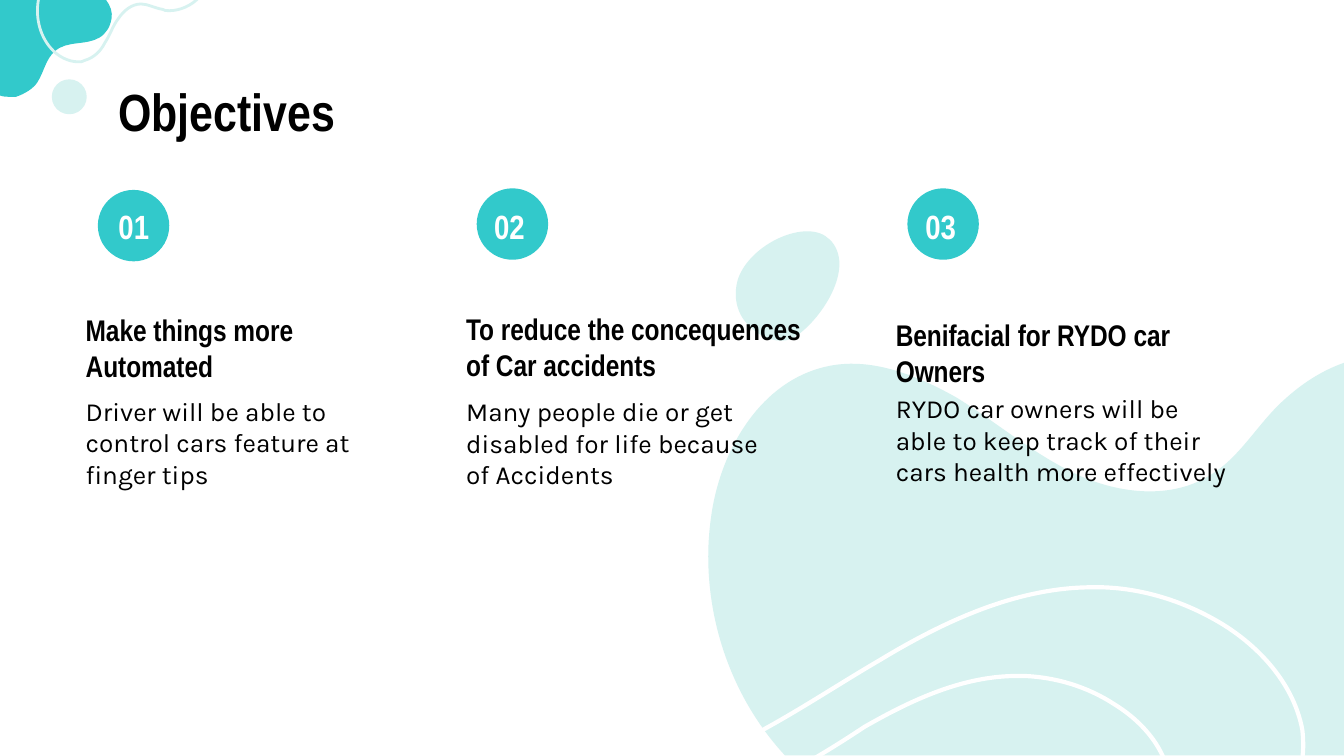
from pptx import Presentation
from pptx.dml.color import RGBColor
from pptx.enum.shapes import MSO_SHAPE
from pptx.enum.text import MSO_ANCHOR, MSO_AUTO_SIZE, PP_ALIGN
from pptx.oxml.ns import qn
from pptx.util import Cm, Pt

TEAL, MINT, WHITE, BLACK = "32C9CB", "D7F2F0", "FFFFFF", "000000"
HEAD_FONT, BODY_FONT = "Arial Narrow", "Karla"
UNIT = Cm(0.0254)

OBJECTIVES = [
    dict(number="01", circle=(1.85, 3.59), number_left=1.99, left=1.37,
         heading="Make things more Automated", heading_top=5.65, heading_width=6.2,
         body="Driver will be able to control cars feature at finger tips",
         body_top=7.22, body_width=6.2),
    dict(number="02", circle=(9.01, 3.56), number_left=9.09, left=8.56,
         heading="To reduce the concequences of Car accidents", heading_top=5.62, heading_width=7.11,
         body="Many people die or get disabled for life because of Accidents",
         body_top=7.23, body_width=6.2),
    dict(number="03", circle=(17.15, 3.56), number_left=17.24, left=16.68,
         heading="Benifacial for RYDO car Owners", heading_top=5.74, heading_width=7.47,
         body="RYDO car owners will be able to keep track of their cars health more effectively",
         body_top=7.17, body_width=6.83),
]

DROP = [(617, 178), (601, 162, 558, 181, 549, 208), (545, 222, 549, 235, 558, 243),
        (567, 252, 580, 256, 589, 252), (607, 243, 637, 202, 619, 180),
        (618, 179, 618, 179, 617, 178)]
HILL = [(527, 414), (527, 468, 547, 522, 584, 562), (1000, 562), (1000, 270),
        (983, 276, 968, 286, 955, 298), (935, 316, 922, 342, 898, 355),
        (869, 372, 830, 367, 799, 352), (768, 337, 741, 314, 712, 296),
        (682, 279, 647, 265, 614, 273), (567, 284, 538, 332, 530, 379),
        (528, 391, 527, 403, 527, 414)]
RIPPLE = [(813, 437), (815, 437, 818, 437, 820, 437), (853, 438, 885, 449, 912, 466),
          (940, 484, 963, 511, 969, 543), (970, 552, 970, 561, 968, 570), (868, 570),
          (862, 551, 847, 535, 829, 524), (809, 511, 786, 504, 762, 503),
          (760, 503, 758, 503, 757, 503), (716, 503, 678, 521, 643, 541),
          (628, 551, 612, 561, 596, 570), (508, 570),
          (561, 552, 607, 519, 655, 491), (703, 462, 757, 437, 813, 437)]
CORNER = [(79, 0), (82, 4, 84, 9, 83, 14), (82, 20, 79, 25, 74, 28),
          (64, 34, 50, 30, 41, 38), (34, 44, 33, 53, 28, 61), (25, 66, 18, 70, 12, 72),
          (10, 72, 9, 72, 8, 72), (5, 72, 2, 72, 0, 71), (0, 0)]
SWIRL = [(148, -2), (143, 4, 134, 8, 126, 8), (124, 8, 122, 8, 121, 7),
         (115, 6, 110, 3, 105, 3), (98, 3, 92, 8, 88, 14), (84, 19, 82, 26, 78, 32),
         (75, 38, 70, 43, 63, 45), (62, 46, 60, 46, 58, 46), (51, 46, 43, 42, 38, 36),
         (29, 26, 26, 11, 29, -2)]
OUTLINES = [
    dict(outline=DROP, fill=MINT),
    dict(outline=HILL, fill=MINT),
    dict(outline=RIPPLE, line=WHITE, weight=2.25),
    dict(outline=CORNER, fill=TEAL),
    dict(outline=SWIRL, line=MINT, weight=1.5),
]


def color(value):
    return RGBColor.from_string(value)


def style(shape, fill=None, line=None, weight=1):
    shape.shadow.inherit = False
    if fill:
        shape.fill.solid()
        shape.fill.fore_color.rgb = color(fill)
    else:
        shape.fill.background()
    if line:
        shape.line.color.rgb = color(line)
        shape.line.width = Pt(weight)
    else:
        shape.line.fill.background()


def bend(shape, segments):
    nodes = iter(shape._element.xpath(".//a:lnTo"))
    for segment in segments:
        node = next(nodes)
        if len(segment) == 6:
            node.tag = qn("a:cubicBezTo")
            for extra in (next(nodes), next(nodes)):
                node.append(extra[0])
                extra.getparent().remove(extra)


def add_outline(page, outline, **look):
    points = [(x * UNIT, y * UNIT) for segment in outline
              for x, y in zip(segment[::2], segment[1::2])]
    builder = page.shapes.build_freeform(*points[0])
    builder.add_line_segments(points[1:], close=True)
    shape = builder.convert_to_shape()
    bend(shape, outline[1:])
    style(shape, **look)


def add_circle(page, left, top, size, fill):
    circle = page.shapes.add_shape(MSO_SHAPE.OVAL, Cm(left), Cm(top), Cm(size), Cm(size))
    style(circle, fill=fill)


def write(page, text, left, top, width, height, size, box=None, font=HEAD_FONT,
          bold=True, fill=BLACK, anchor=MSO_ANCHOR.TOP):
    place = Cm(left), Cm(top), Cm(width), Cm(height)
    box = box or page.shapes.add_textbox(*place)
    box.left, box.top, box.width, box.height = place
    frame = box.text_frame
    frame.word_wrap = True
    frame.auto_size = MSO_AUTO_SIZE.NONE
    frame.vertical_anchor = anchor
    frame.margin_left = frame.margin_right = frame.margin_top = frame.margin_bottom = Cm(0.25)
    para = frame.paragraphs[0]
    para.alignment = PP_ALIGN.LEFT
    span = para.add_run()
    span.text = text
    span.font.name = font
    span.font.size = Pt(size)
    span.font.bold = bold
    span.font.color.rgb = color(fill)


def main():
    deck = Presentation()
    deck.slide_width = Cm(25.4)
    deck.slide_height = deck.slide_width * 9 // 16
    page = deck.slides.add_slide(deck.slide_layouts[5])

    for item in OUTLINES:
        add_outline(page, **item)
    add_circle(page, 0.98, 1.5, 0.66, MINT)

    write(page, "Objectives", 1.99, 1.24, 21.44, 1.6, 28, box=page.shapes.title)
    for item in OBJECTIVES:
        add_circle(page, *item["circle"], 1.35, TEAL)
        write(page, item["number"], item["number_left"], 3.85, 1.22, 0.86, 18,
              fill=WHITE, anchor=MSO_ANCHOR.MIDDLE)
        write(page, item["heading"], item["left"], item["heading_top"],
              item["heading_width"], 0.86, 16)
        write(page, item["body"], item["left"], item["body_top"],
              item["body_width"], 2.13, 14, font=BODY_FONT, bold=False)

    deck.save("out.pptx")


if __name__ == "__main__":
    main()
